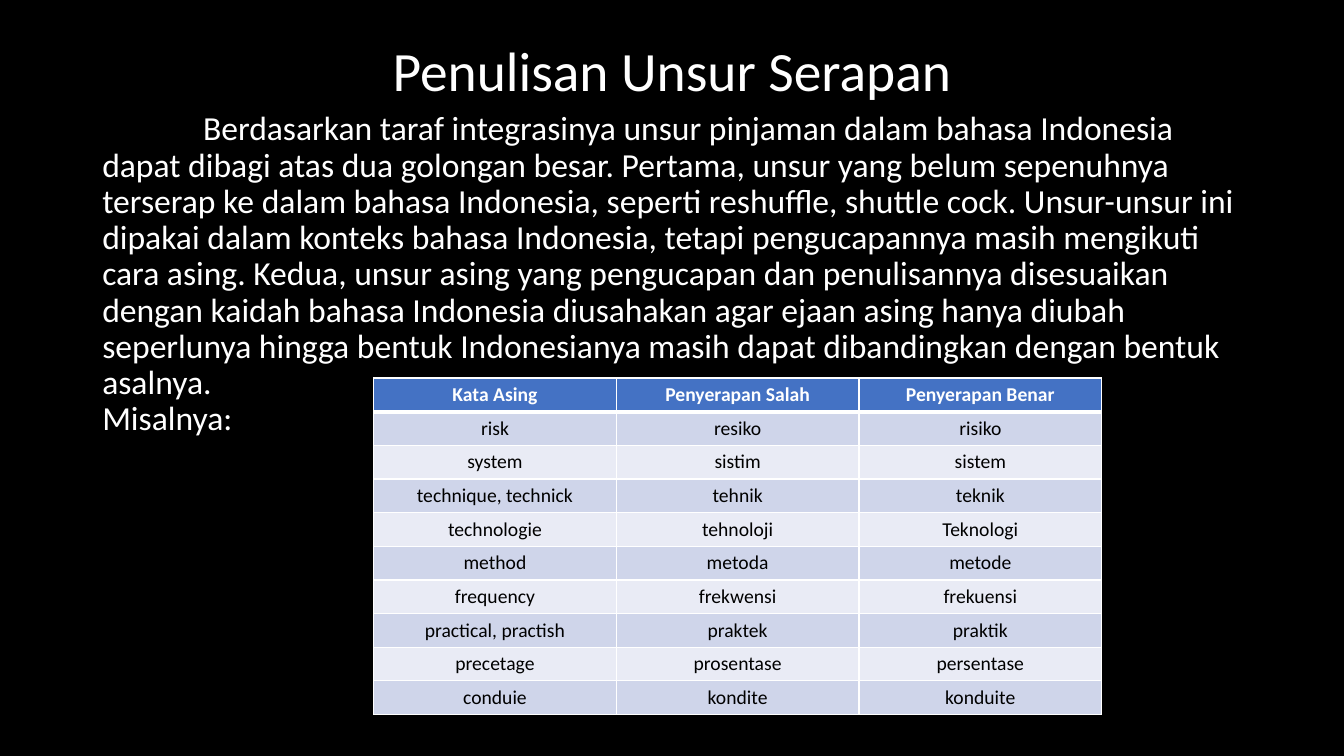
from lxml import etree
from pptx import Presentation
from pptx.dml.color import RGBColor
from pptx.enum.text import MSO_ANCHOR, PP_ALIGN
from pptx.oxml.ns import qn
from pptx.util import Pt

CENTER, LEFT = PP_ALIGN.CENTER, PP_ALIGN.LEFT
TOP, MIDDLE = MSO_ANCHOR.TOP, MSO_ANCHOR.MIDDLE

TITLE = "Penulisan Unsur Serapan"
BODY = (
    "Berdasarkan taraf integrasinya unsur pinjaman dalam bahasa Indonesia "
    "dapat dibagi atas dua golongan besar. Pertama, unsur yang belum sepenuhnya "
    "terserap ke dalam bahasa Indonesia, seperti reshuffle, shuttle cock. "
    "Unsur-unsur ini dipakai dalam konteks bahasa Indonesia, tetapi pengucapannya "
    "masih mengikuti cara asing. Kedua, unsur asing yang pengucapan dan "
    "penulisannya disesuaikan dengan kaidah bahasa Indonesia diusahakan agar ejaan "
    "asing hanya diubah seperlunya hingga bentuk Indonesianya masih dapat "
    "dibandingkan dengan bentuk asalnya.\vMisalnya:"
)
WORDS = [
    ("Kata Asing", "Penyerapan Salah", "Penyerapan Benar"),
    ("risk", "resiko", "risiko"),
    ("system", "sistim", "sistem"),
    ("technique, technick", "tehnik", "teknik"),
    ("technologie", "tehnoloji", "Teknologi"),
    ("method", "metoda", "metode"),
    ("frequency", "frekwensi", "frekuensi"),
    ("practical, practish", "praktek", "praktik"),
    ("precetage", "prosentase", "persentase"),
    ("conduie", "kondite", "konduite"),
]
FONT = "Calibri"
COLORS = {
    "background": "000000",
    "light": "FFFFFF",
    "dark": "000000",
    "header": "4472C4",
    "odd": "CFD5EA",
    "even": "E9EBF5",
}
MARGIN, TEXT_W = 66, 828
TABLE_LEFT, TABLE_TOP = 266.9, 270
COL_W, ROW_H = 173.35, 24


def rgb(name):
    return RGBColor.from_string(COLORS[name])


def format_text(p, size, color, align, bold=False):
    p.alignment = align
    for r in p.runs:
        r.font.name = FONT
        r.font.size = Pt(size)
        r.font.bold = bold
        r.font.color.rgb = rgb(color)


def add_text(s, text, top, height, size, align, anchor):
    sp = s.shapes.add_textbox(Pt(MARGIN), Pt(top), Pt(TEXT_W), Pt(height))
    tf = sp.text_frame
    tf.word_wrap = True
    tf.vertical_anchor = anchor
    p = tf.paragraphs[0]
    p.text = text
    p.line_spacing = 0.9
    format_text(p, size, "light", align)
    return p


def set_borders(cell, widths):
    tc_pr = cell._tc.get_or_add_tcPr()
    for i, (side, width) in enumerate(widths.items()):
        ln = etree.Element(qn(f"a:ln{side}"), w=str(Pt(width)))
        fill = etree.SubElement(ln, qn("a:solidFill"))
        etree.SubElement(fill, qn("a:srgbClr"), val=COLORS["light"])
        tc_pr.insert(i, ln)


def add_word_table(s):
    rows, cols = len(WORDS), len(WORDS[0])
    table = s.shapes.add_table(
        rows, cols, Pt(TABLE_LEFT), Pt(TABLE_TOP), Pt(COL_W * cols), Pt(ROW_H * rows)
    ).table
    for col in table.columns:
        col.width = Pt(COL_W)
    for i, words in enumerate(WORDS):
        table.rows[i].height = Pt(ROW_H)
        header = i == 0
        fill = "header" if header else ("even", "odd")[i % 2]
        for j, word in enumerate(words):
            cell = table.cell(i, j)
            cell.text = word
            cell.fill.solid()
            cell.fill.fore_color.rgb = rgb(fill)
            p = cell.text_frame.paragraphs[0]
            format_text(p, 14, "light" if header else "dark", CENTER, header)
            top, bottom = 3 if i == 1 else 1, 3 if header else 1
            set_borders(cell, {"L": 1, "R": 1, "T": top, "B": bottom})


def main():
    prs = Presentation()
    prs.slide_width, prs.slide_height = Pt(960), Pt(540)
    s = prs.slides.add_slide(prs.slide_layouts[6])
    s.background.fill.solid()
    s.background.fill.fore_color.rgb = rgb("background")

    add_text(s, TITLE, 28.75, 47.5, 39.6, CENTER, MIDDLE)
    p = add_text(s, BODY, 76.3, 426, 24, LEFT, TOP)
    p.space_before = Pt(10)
    p._p.get_or_add_pPr().set("indent", str(Pt(72)))
    add_word_table(s)
    prs.save("out.pptx")


if __name__ == "__main__":
    main()
